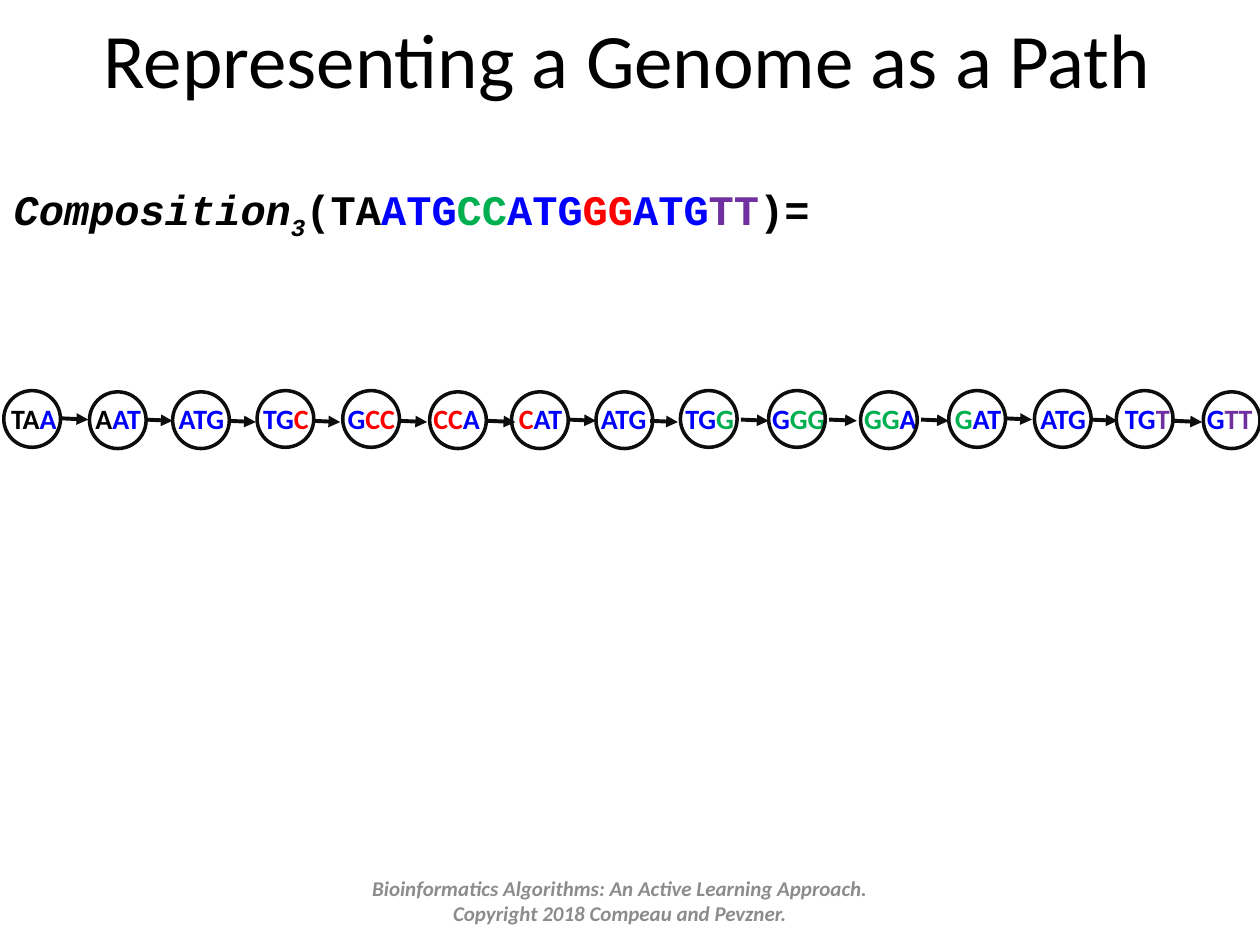
import pptx
import pptx.dml.color
import pptx.enum.shapes
import pptx.enum.text
import pptx.oxml
import pptx.oxml.ns
import pptx.util

Inches = pptx.util.Inches
Pt = pptx.util.Pt
RGBColor = pptx.dml.color.RGBColor

BLACK = RGBColor(0x00, 0x00, 0x00)
INK = RGBColor(0x0D, 0x0D, 0x0D)
BLUE = RGBColor(0x00, 0x00, 0xFF)
RED = RGBColor(0xFF, 0x00, 0x00)
GREEN = RGBColor(0x00, 0xB0, 0x50)
PURPLE = RGBColor(0x70, 0x30, 0xA0)
GRAY = RGBColor(0x8C, 0x8C, 0x8C)

CIRCLE_SIZE = 0.45
LABEL_TOP, LABEL_HEIGHT = 3.14, 0.37
ARROW_WIDTH, ARROW_DROP = 0.22, 0.01

# label left, label width, circle left, circle top, coloured letters
NODES = [
    (-0.01, 0.57, 0.03, 3.10, [("TA", BLACK), ("A", BLUE)]),
    (0.66, 0.57, 0.71, 3.11, [("A", BLACK), ("AT", BLUE)]),
    (1.32, 0.57, 1.37, 3.11, [("ATG", BLUE)]),
    (1.99, 0.57, 2.04, 3.10, [("TG", BLUE), ("C", RED)]),
    (2.66, 0.58, 2.72, 3.10, [("G", BLUE), ("CC", RED)]),
    (3.34, 0.58, 3.41, 3.11, [("CC", RED), ("A", BLUE)]),
    (4.02, 0.55, 4.06, 3.11, [("C", RED), ("AT", BLUE)]),
    (4.67, 0.57, 4.73, 3.11, [("ATG", BLUE)]),
    (5.34, 0.59, 5.40, 3.10, [("TG", BLUE), ("G", GREEN)]),
    (6.03, 0.63, 6.10, 3.10, [("G", BLUE), ("GG", GREEN)]),
    (6.76, 0.63, 6.83, 3.11, [("GG", GREEN), ("A", BLUE)]),
    (7.48, 0.58, 7.53, 3.10, [("G", GREEN), ("AT", BLUE)]),
    (8.16, 0.57, 8.21, 3.10, [("ATG", BLUE)]),
    (8.83, 0.56, 8.86, 3.10, [("TG", BLUE), ("T", PURPLE)]),
    (9.48, 0.57, 9.55, 3.11, [("G", BLUE), ("TT", PURPLE)]),
]
ARROW_STARTS = [
    (0.48, 3.32), (1.15, 3.33), (1.81, 3.34), (2.48, 3.34), (3.17, 3.34),
    (3.87, 3.34), (4.51, 3.33), (5.16, 3.34), (5.88, 3.33), (6.58, 3.33),
    (7.31, 3.33), (7.97, 3.32), (8.65, 3.33), (9.32, 3.34),
]
GENOME = [
    ("(TA", BLACK), ("ATG", BLUE), ("CC", GREEN), ("ATG", BLUE),
    ("GG", RED), ("ATG", BLUE), ("TT", PURPLE), (")=", BLACK),
]
FOOTER = [
    "Bioinformatics Algorithms: An Active Learning Approach.",
    "Copyright 2018 Compeau and Pevzner.",
]


def add_run(paragraph, text, size, color, name="Calibri", bold=True, italic=False):
    """Append one formatted run and return it."""
    run = paragraph.add_run()
    run.text = text
    font = run.font
    font.name, font.size, font.bold, font.italic = name, Pt(size), bold, italic
    font.color.rgb = color
    return run


def add_text_box(shapes, left, top, width, height, wrap=True):
    """Add an empty text box and return its text frame."""
    box = shapes.add_textbox(Inches(left), Inches(top), Inches(width), Inches(height))
    box.text_frame.word_wrap = wrap
    return box.text_frame


def add_node(slide, label_left, label_width, left, top, letters):
    """Add a group with a coloured label and the circle around it."""
    shapes = slide.shapes.add_group_shape().shapes
    frame = add_text_box(shapes, label_left, LABEL_TOP, label_width, LABEL_HEIGHT, False)
    for text, color in letters:
        add_run(frame.paragraphs[0], text, 16, color)
    circle = shapes.add_shape(
        pptx.enum.shapes.MSO_SHAPE.OVAL,
        Inches(left), Inches(top), Inches(CIRCLE_SIZE), Inches(CIRCLE_SIZE))
    circle.shadow.inherit = False
    circle.fill.background()
    circle.line.color.rgb = INK
    circle.line.width = Pt(2)


def add_arrow(slide, left, top):
    """Add a short arrow that leads to the next node."""
    arrow = slide.shapes.add_connector(
        pptx.enum.shapes.MSO_CONNECTOR.STRAIGHT, Inches(left), Inches(top),
        Inches(left + ARROW_WIDTH), Inches(top + ARROW_DROP))
    arrow.line.color.rgb = INK
    arrow.line.width = Pt(2.25)
    properties = arrow._element.spPr
    line = arrow.line._get_or_add_ln()
    line.append(pptx.oxml.parse_xml(
        f'<a:tailEnd {pptx.oxml.ns.nsdecls("a")} type="triangle"/>'))
    properties.append(pptx.oxml.parse_xml(
        f'<a:effectLst {pptx.oxml.ns.nsdecls("a")}/>'))


def set_title(slide, text):
    """Place and format the title placeholder."""
    title = slide.shapes.title
    title.left, title.top = Inches(0.55), Inches(-0.17)
    title.width, title.height = Inches(9), Inches(1.25)
    title.text_frame.vertical_anchor = pptx.enum.text.MSO_ANCHOR.MIDDLE
    paragraph = title.text_frame.paragraphs[0]
    paragraph.alignment = pptx.enum.text.PP_ALIGN.CENTER
    add_run(paragraph, text, 44, BLACK, bold=False)


def add_composition(slide):
    """Add the composition formula with its coloured genome."""
    paragraph = add_text_box(slide.shapes, 0.01, 1.41, 9.89, 1.72).paragraphs[0]
    add_run(paragraph, "Composition", 24, BLACK, "Courier New", italic=True)
    subscript = add_run(paragraph, "3", 24, BLACK, "Courier New", italic=True)
    subscript._r.get_or_add_rPr().set("baseline", "-25000")
    for text, color in GENOME:
        add_run(paragraph, text, 24, color, "Courier New")


def add_footer(slide):
    """Add the centred copyright lines."""
    frame = add_text_box(slide.shapes, 2.17, 6.95, 5.5, 0.4)
    frame.vertical_anchor = pptx.enum.text.MSO_ANCHOR.MIDDLE
    for index, text in enumerate(FOOTER):
        paragraph = frame.add_paragraph() if index else frame.paragraphs[0]
        paragraph.alignment = pptx.enum.text.PP_ALIGN.CENTER
        add_run(paragraph, text, 12, GRAY, italic=True)


def main():
    """Build the slide and save it."""
    presentation = pptx.Presentation()
    presentation.slide_width, presentation.slide_height = Inches(10), Inches(7.5)
    slide = presentation.slides.add_slide(presentation.slide_layouts[5])
    set_title(slide, "Representing a Genome as a Path ")
    for node in NODES:
        add_node(slide, *node)
    for start in ARROW_STARTS:
        add_arrow(slide, *start)
    add_composition(slide)
    add_footer(slide)
    presentation.save("out.pptx")


if __name__ == "__main__":
    main()
